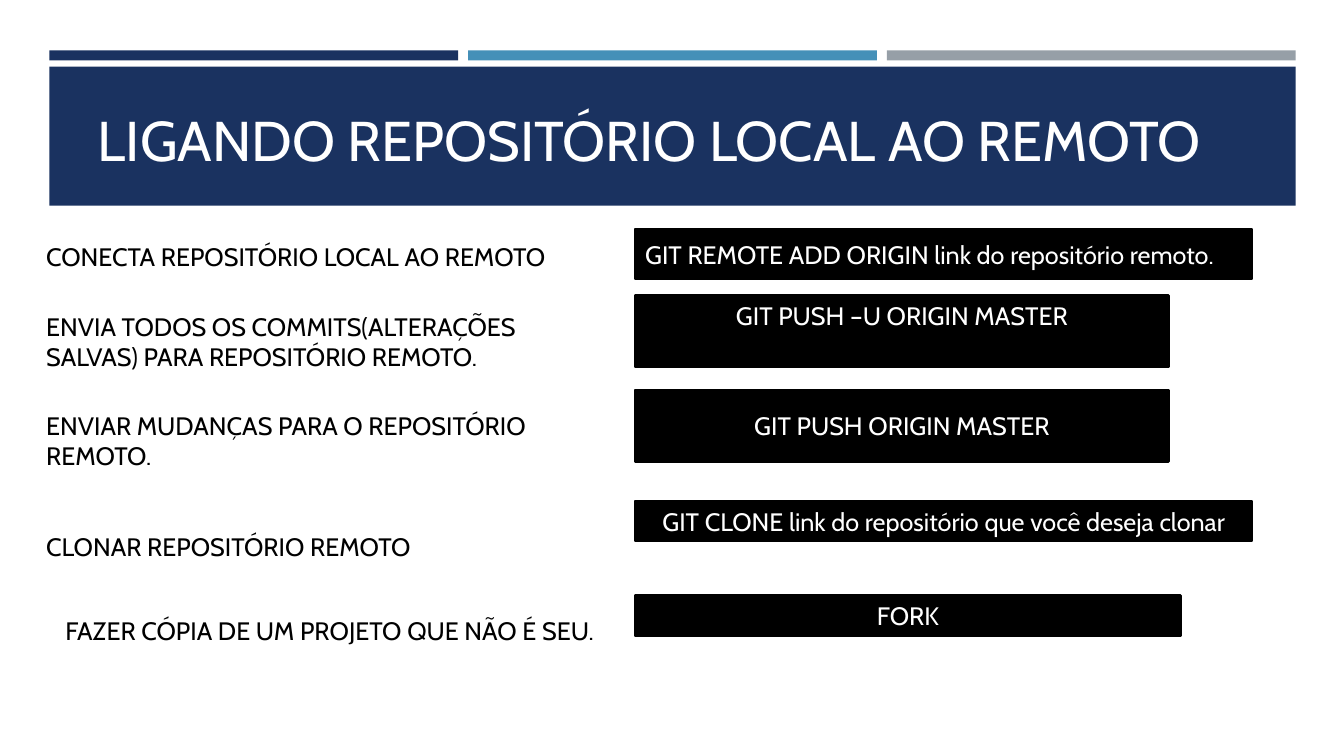
from pptx import Presentation
from pptx.dml.color import RGBColor
from pptx.enum.shapes import MSO_SHAPE
from pptx.enum.text import MSO_ANCHOR, MSO_AUTO_SIZE, PP_ALIGN
from pptx.util import Inches, Pt

RECT = MSO_SHAPE.RECTANGLE
TOP, MIDDLE, BOTTOM = MSO_ANCHOR.TOP, MSO_ANCHOR.MIDDLE, MSO_ANCHOR.BOTTOM
LEFT, CENTER = PP_ALIGN.LEFT, PP_ALIGN.CENTER
NO_FIT = MSO_AUTO_SIZE.NONE

NAVY = RGBColor(0x1A, 0x32, 0x60)
BLUE = RGBColor(0x45, 0x90, 0xB8)
GRAY = RGBColor(0x96, 0x9F, 0xA7)
BLACK = RGBColor(0, 0, 0)
WHITE = RGBColor(0xFF, 0xFF, 0xFF)
FONT = "Cabin"

LABELS = [
    (0.36, 2.34, 5.47, 0.4, "CONECTA REPOSITÓRIO LOCAL AO REMOTO"),
    (0.36, 3.04, 5.31, 0.71,
     "ENVIA TODOS OS COMMITS(ALTERAÇÕES SALVAS) PARA REPOSITÓRIO REMOTO."),
    (0.36, 4.02, 5.16, 0.71, "ENVIAR MUDANÇAS PARA O REPOSITÓRIO REMOTO."),
    (0.36, 5.22, 5.06, 0.4, "CLONAR REPOSITÓRIO REMOTO"),
    (0.55, 6.06, 5.75, 0.4, "FAZER CÓPIA DE UM PROJETO QUE NÃO É SEU."),
]
COMMANDS = [
    (2.27, 6.12, 0.5, LEFT, MIDDLE,
     "GIT REMOTE ADD ORIGIN link do repositório remoto."),
    (2.93, 5.29, 0.71, CENTER, TOP, "GIT PUSH –U ORIGIN MASTER"),
    (3.87, 5.29, 0.71, CENTER, MIDDLE, "GIT PUSH ORIGIN MASTER"),
    (4.97, 6.12, 0.4, CENTER, MIDDLE,
     "GIT CLONE link do repositório que você deseja clonar"),
    (5.91, 5.41, 0.4, CENTER, MIDDLE, "FORK"),
]


def write(s, text, size, color, align=LEFT, anchor=TOP):
    tf = s.text_frame
    tf.word_wrap = True
    tf.auto_size = NO_FIT
    tf.vertical_anchor = anchor
    p = tf.paragraphs[0]
    p.alignment = align
    r = p.add_run()
    r.text = text
    r.font.name = FONT
    r.font.size = Pt(size)
    r.font.color.rgb = color


def add_rect(slide, x, y, w, h, color):
    s = slide.shapes.add_shape(RECT, Inches(x), Inches(y), Inches(w), Inches(h))
    s.shadow.inherit = False
    s.fill.solid()
    s.fill.fore_color.rgb = color
    s.line.fill.background()
    return s


def add_header(slide, x, y, w, h):
    gap = 0.1
    bar_w = (w - 2 * gap) / 3
    for i, color in enumerate((NAVY, BLUE, GRAY)):
        add_rect(slide, x + i * (bar_w + gap), y, bar_w, 0.1, color)
    add_rect(slide, x, y + 0.16, w, h - 0.16, NAVY)
    title = slide.shapes.title
    title.left, title.top = Inches(x + 0.38), Inches(y + 0.18)
    title.width, title.height = Inches(12.06), Inches(1.08)
    write(title, "LIGANDO REPOSITÓRIO LOCAL AO REMOTO", 40, WHITE, anchor=BOTTOM)
    tree = slide.shapes._spTree
    tree.remove(title._element)
    tree.append(title._element)


def add_label(slide, x, y, w, h, text):
    s = slide.shapes.add_textbox(Inches(x), Inches(y), Inches(w), Inches(h))
    write(s, text, 18, BLACK)


def add_command(slide, x, y, w, h, align, anchor, text):
    s = add_rect(slide, x, y, w, h, BLACK)
    s.line.color.rgb = BLACK
    s.line.width = Pt(1.75)
    write(s, text, 18, WHITE, align, anchor)


def main():
    prs = Presentation()
    prs.slide_width, prs.slide_height = Inches(13.33), Inches(7.5)
    slide = prs.slides.add_slide(prs.slide_layouts[5])
    add_header(slide, 0.49, 0.5, 12.36, 1.54)
    for label, command in zip(LABELS, COMMANDS):
        add_label(slide, *label)
        add_command(slide, 6.3, *command)
    prs.save("out.pptx")


if __name__ == "__main__":
    main()
